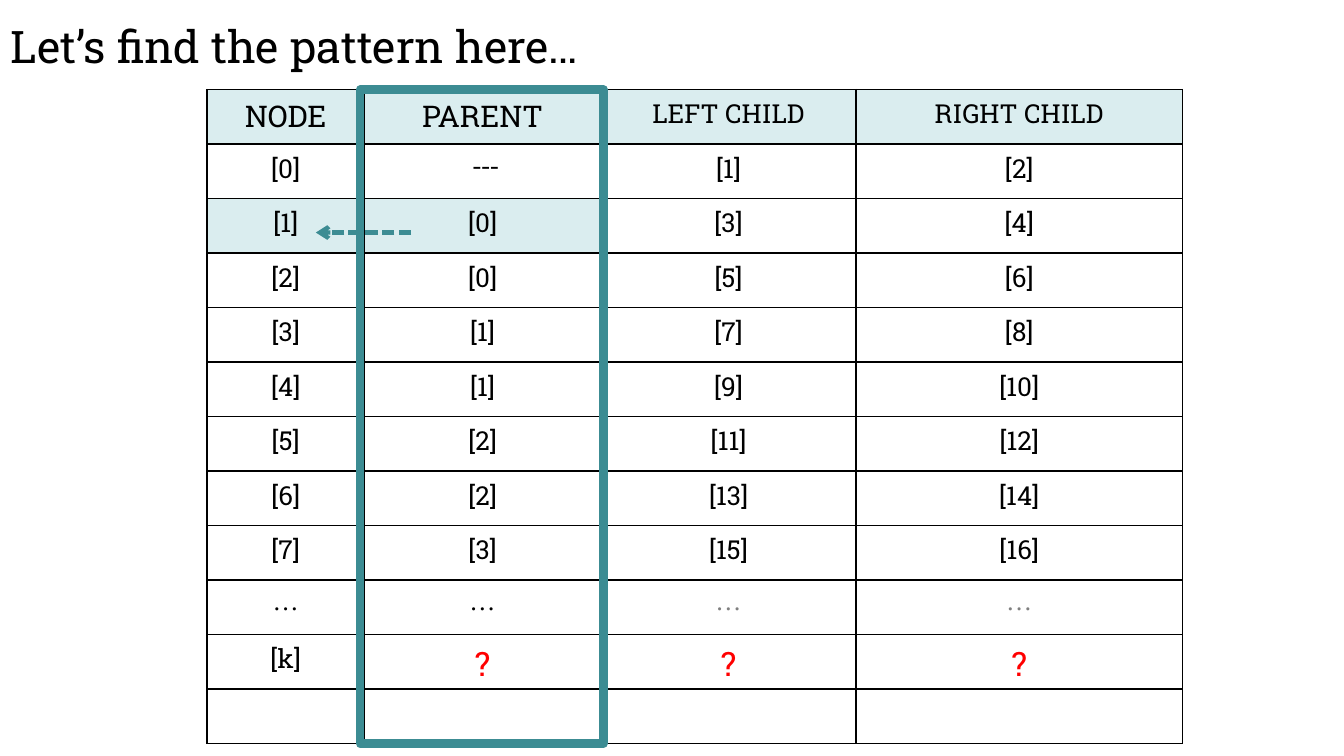
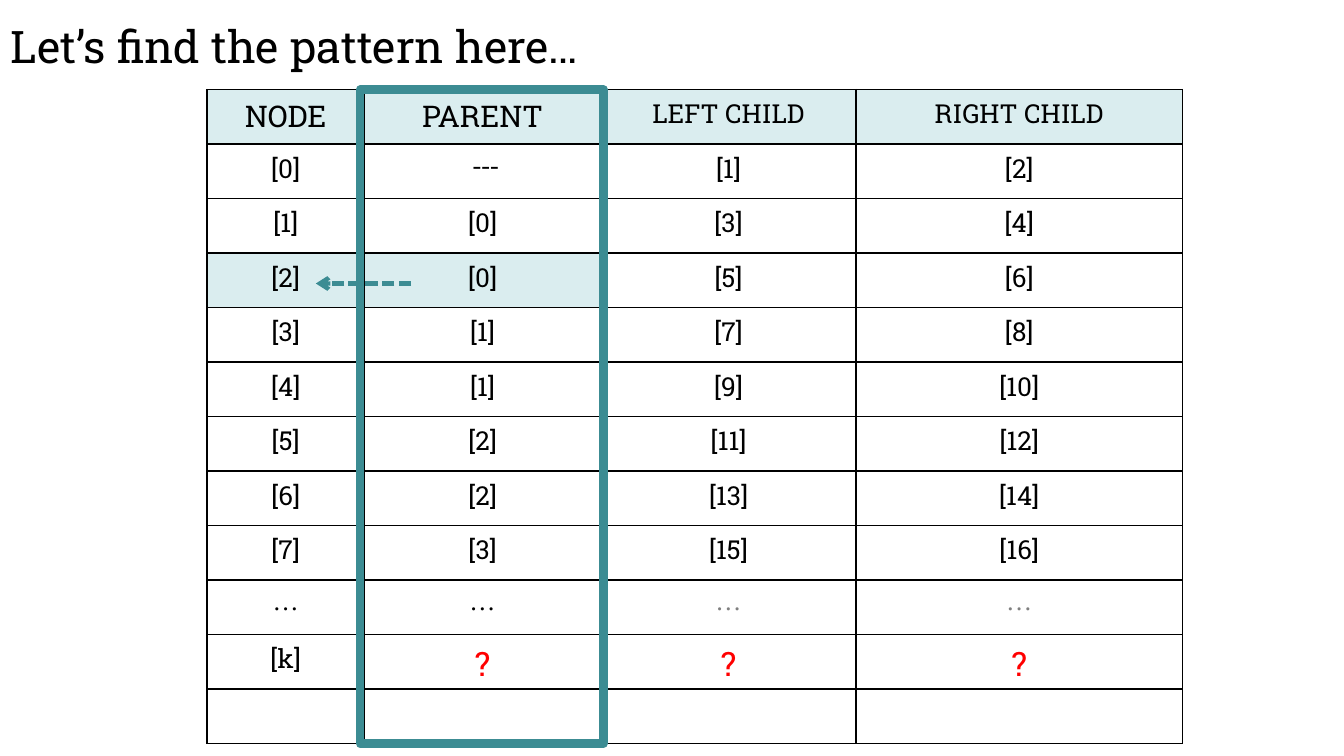
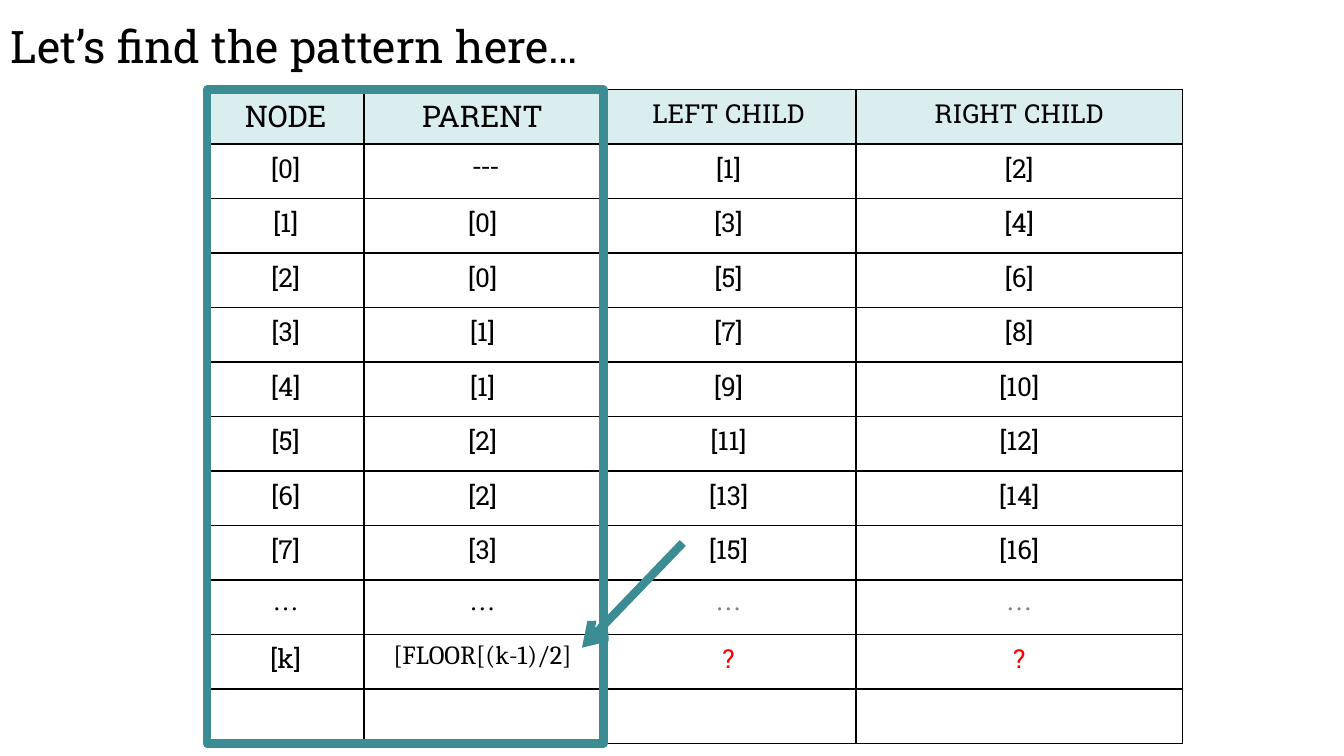
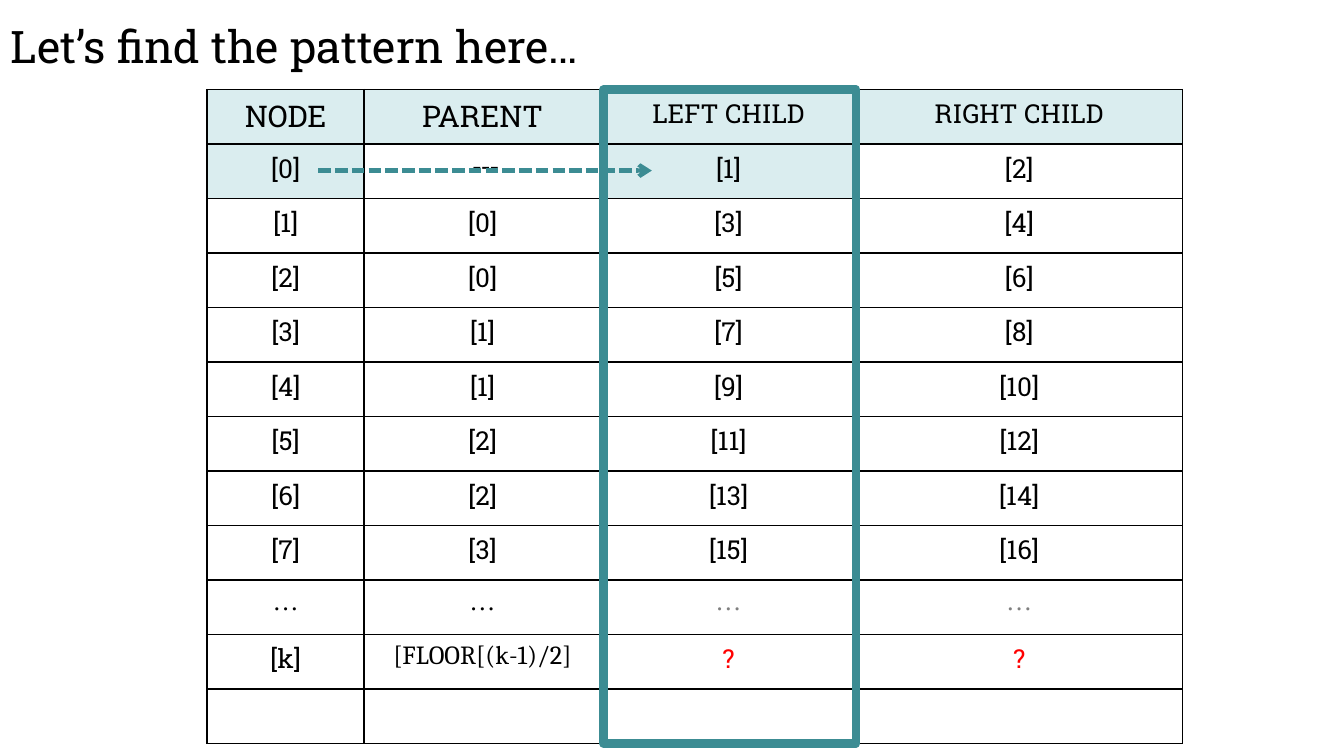
from pptx import Presentation
from pptx.dml.color import RGBColor
from pptx.enum.dml import MSO_LINE
from pptx.enum.shapes import MSO_CONNECTOR, MSO_SHAPE
from pptx.enum.text import MSO_ANCHOR, MSO_AUTO_SIZE, PP_ALIGN
from pptx.oxml.ns import qn
from pptx.util import Pt
from lxml.etree import SubElement

# Content
TITLE = "Let’s find the pattern here…"
HEADERS = ["NODE", "PARENT", "LEFT CHILD", "RIGHT CHILD"]
NODES = [
    ["[0]", " ---", "[1]", "[2]"],
    ["[1]", "[0]", "[3]", "[4]"],
    ["[2]", "[0]", "[5]", "[6]"],
    ["[3]", "[1]", "[7]", "[8]"],
    ["[4]", "[1]", "[9]", "[10]"],
    ["[5]", "[2]", "[11]", "[12]"],
    ["[6]", "[2]", "[13]", "[14]"],
    ["[7]", "[3]", "[15]", "[16]"],
    ["…", "…", "…", "…"],
]
UNKNOWN = "?"
FORMULA = "[FLOOR[(k-1)/2]"

# Per slide: parent of k, size of "?", shaded (row, column) cells,
# frame (left, right), arrow (start, end), arrow weight and dash
STEPS = [
    dict(parent=UNKNOWN, unknown_size=18, shaded={(2, 0), (2, 1)},
         frame=(193, 323.3), arrow=((220.3, 124.6), (169.2, 124.6)),
         weight=2.25, dashed=True),
    dict(parent=UNKNOWN, unknown_size=18, shaded={(3, 0), (3, 1)},
         frame=(193, 323.3), arrow=((220.3, 151.9), (169.2, 151.9)),
         weight=2.25, dashed=True),
    dict(parent=FORMULA, unknown_size=14, shaded=set(),
         frame=(111, 323.3), arrow=((365.8, 290.9), (311.8, 347)),
         weight=4.5, dashed=False),
    dict(parent=FORMULA, unknown_size=14, shaded={(1, 0), (1, 2)},
         frame=(323.3, 458.6), arrow=((170.6, 91.4), (349.2, 91.4)),
         weight=2.25, dashed=True),
]

# Shared look
COLORS = {"text": "000000", "muted": "7F7F7F", "unknown": "FF0000",
          "shade": "DAEDEF", "accent": "3C8C93", "border": "000000"}
FONT, PLAIN_FONT, FORMULA_FONT = "Roboto Slab", "Times New Roman", "Cambria"
TABLE_LEFT, TABLE_TOP, ROW_HEIGHT = 111, 48, 29.2
COLUMN_WIDTHS = [84, 127, 136.5, 175]


def color(name):
    return RGBColor.from_string(COLORS[name])


def add_run(paragraph, text, size, font=FONT, ink="text"):
    run = paragraph.add_run()
    run.text = text
    run.font.size = Pt(size)
    run.font.name = font
    run.font.color.rgb = color(ink)


def add_title(slide):
    title = slide.shapes.title
    title.left, title.top, title.width, title.height = map(Pt, (-1.5, 6.5, 325, 36))
    frame = title.text_frame
    frame.word_wrap = False
    frame.auto_size = MSO_AUTO_SIZE.SHAPE_TO_FIT_TEXT
    frame.vertical_anchor = MSO_ANCHOR.TOP
    frame.paragraphs[0].alignment = PP_ALIGN.LEFT
    add_run(frame.paragraphs[0], TITLE, 24)


def cell_style(text, column, unknown_size):
    if text in HEADERS[:2]:
        return dict(size=16)
    if text == UNKNOWN:
        return dict(size=unknown_size, ink="unknown")
    if text == FORMULA:
        return dict(size=14, font=FORMULA_FONT)
    if text == "…":
        return dict(size=14, font=PLAIN_FONT, ink="text" if column < 2 else "muted")
    if text == " ---":
        return dict(size=14, font=PLAIN_FONT)
    return dict(size=14)


def add_borders(cell):
    properties = cell._tc.get_or_add_tcPr()
    for side in ("lnL", "lnR", "lnT", "lnB"):
        line = SubElement(properties, qn(f"a:{side}"), w=str(Pt(1)))
        fill = SubElement(line, qn("a:solidFill"))
        SubElement(fill, qn("a:srgbClr"), val=COLORS["border"])


def add_node_table(slide, step):
    last = ["[k]", step["parent"], UNKNOWN, UNKNOWN]
    rows = [HEADERS, *NODES, last, [""] * len(HEADERS)]
    table = slide.shapes.add_table(
        len(rows), len(HEADERS), Pt(TABLE_LEFT), Pt(TABLE_TOP),
        Pt(sum(COLUMN_WIDTHS)), Pt(ROW_HEIGHT * len(rows))).table
    table.first_row = table.horz_banding = False
    for column, width in zip(table.columns, COLUMN_WIDTHS):
        column.width = Pt(width)
    for r, texts in enumerate(rows):
        table.rows[r].height = Pt(ROW_HEIGHT)
        for c, text in enumerate(texts):
            cell = table.cell(r, c)
            add_borders(cell)
            if r == 0 or (r, c) in step["shaded"]:
                cell.fill.solid()
                cell.fill.fore_color.rgb = color("shade")
            else:
                cell.fill.background()
            if text:
                paragraph = cell.text_frame.paragraphs[0]
                paragraph.alignment = PP_ALIGN.CENTER
                add_run(paragraph, text, **cell_style(text, c, step["unknown_size"]))
    return ROW_HEIGHT * len(rows)


def add_column_frame(slide, left, right, height):
    frame = slide.shapes.add_shape(MSO_SHAPE.RECTANGLE, Pt(left), Pt(TABLE_TOP),
                                   Pt(right - left), Pt(height))
    frame.shadow.inherit = False
    frame.fill.background()
    frame.line.color.rgb = color("accent")
    frame.line.width = Pt(4.5)


def add_arrow(slide, start, end, weight, dashed):
    arrow = slide.shapes.add_connector(MSO_CONNECTOR.STRAIGHT, *map(Pt, start + end))
    arrow.line.color.rgb = color("accent")
    arrow.line.width = Pt(weight)
    if dashed:
        arrow.line.dash_style = MSO_LINE.SQUARE_DOT
    SubElement(arrow.line._get_or_add_ln(), qn("a:tailEnd"), type="arrow")
    SubElement(arrow._element.spPr, qn("a:effectLst"))


def main():
    deck = Presentation()
    deck.slide_width, deck.slide_height = Pt(720), Pt(405)
    title_only = deck.slide_layouts[5]
    for step in STEPS:
        slide = deck.slides.add_slide(title_only)
        add_title(slide)
        table_height = add_node_table(slide, step)
        add_column_frame(slide, *step["frame"], table_height)
        add_arrow(slide, *step["arrow"], step["weight"], step["dashed"])
    deck.save("out.pptx")


if __name__ == "__main__":
    main()
